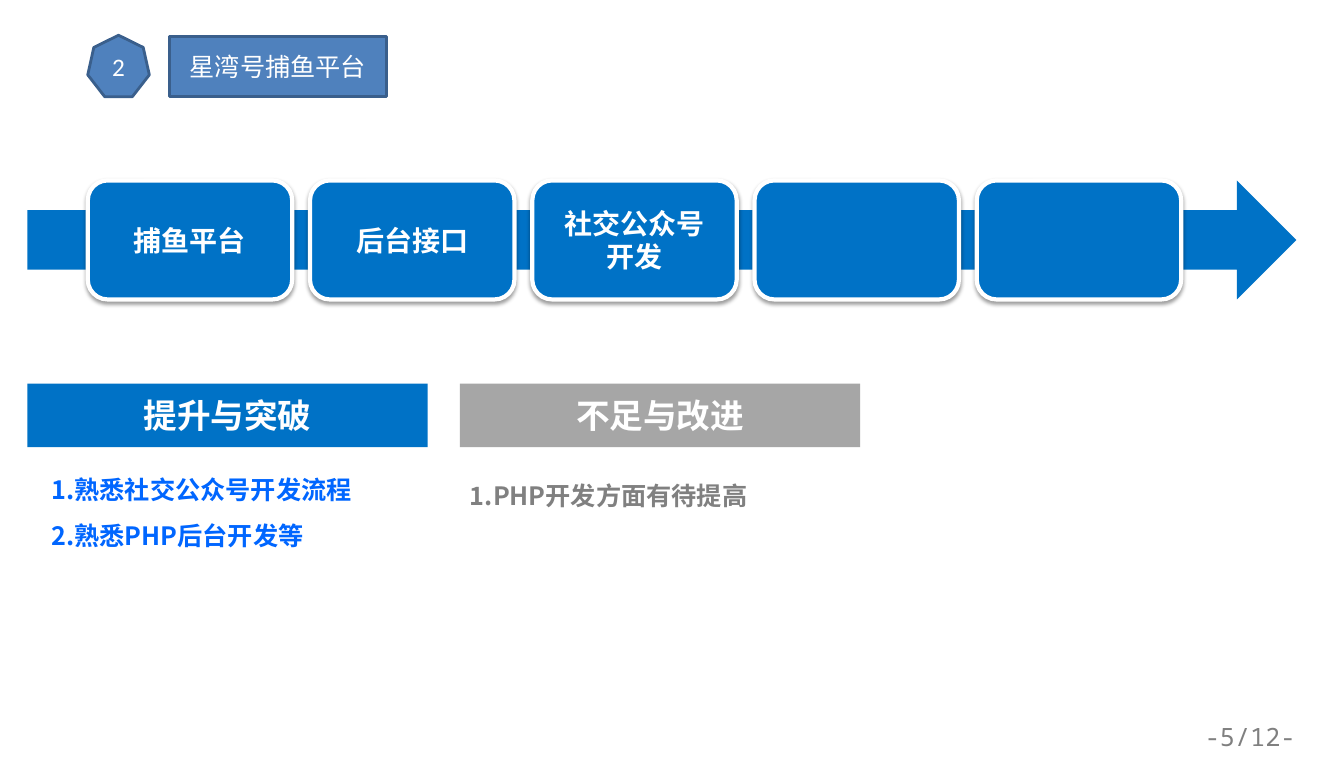
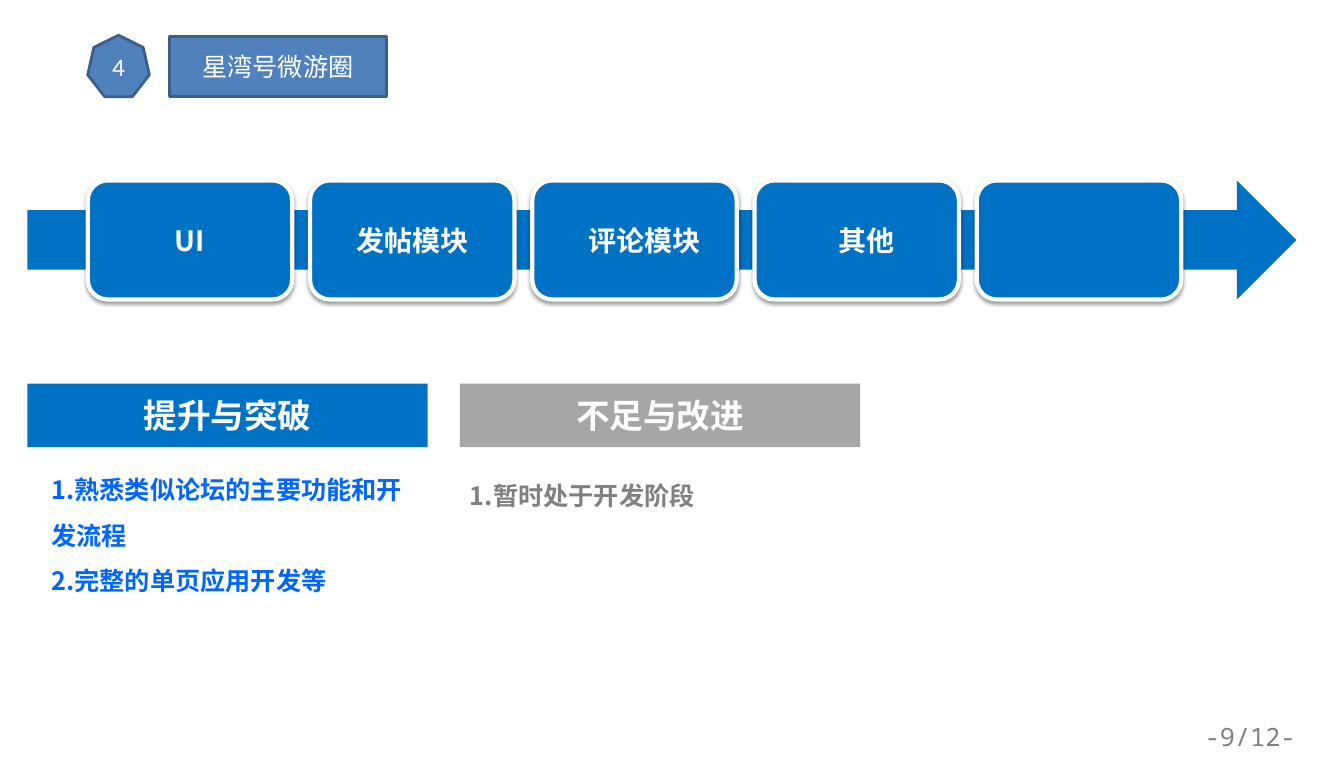
"""Build two project review slides with a step arrow and two findings columns."""
from dataclasses import dataclass

from lxml import etree
from pptx import Presentation
from pptx import util as u
from pptx.dml.color import RGBColor
from pptx.enum import shapes, text
from pptx.oxml import ns

SHAPE = shapes.MSO_SHAPE
CENTER = text.PP_ALIGN.CENTER
LEFT = text.PP_ALIGN.LEFT
MIDDLE = text.MSO_ANCHOR.MIDDLE
TOP = text.MSO_ANCHOR.TOP


@dataclass(frozen=True)
class Theme:
    """Colours, fonts and type sizes of the deck."""
    blue: str = "0072C6"
    grey: str = "A6A6A6"
    badge: str = "4F81BD"
    badge_edge: str = "3A5F8C"
    white: str = "FFFFFF"
    gain: str = "0066FF"
    muted: str = "808080"
    latin: str = "Calibri"
    cjk: str = "Noto Sans CJK SC"
    mono: str = "Noto Sans Mono"
    small: int = 18
    step: int = 20
    heading: int = 24


@dataclass(frozen=True)
class Review:
    """Content of one slide; each step is a label with a sideways nudge."""
    number: int
    title: str
    steps: tuple
    gains: tuple
    gaps: tuple
    page: int


THEME = Theme()
PAGE_COUNT = 12
STEP_LEFT, STEP_WIDTH, STEP_PITCH = 62.7, 146, 158.75
BAND_TOP, BAND_HEIGHT = 128.9, 85
COLUMN_LEFT, COLUMN_PITCH, COLUMN_WIDTH = 19.5, 309, 286

REVIEWS = (
    Review(2, "星湾号捕鱼平台",
           (("捕鱼平台", 0), ("后台接口", 0), ("社交公众号开发", 0), ("", 0), ("", 0)),
           ("1.熟悉社交公众号开发流程", "2.熟悉PHP后台开发等"),
           ("1.PHP开发方面有待提高",), 5),
    Review(4, "星湾号微游圈",
           (("UI", 0), ("发帖模块", 0), ("评论模块", 7), ("其他", 7), ("", 0)),
           ("1.熟悉类似论坛的主要功能和开发流程", "2.完整的单页应用开发等"),
           ("1.暂时处于开发阶段",), 9),
)


def place(shape, left, top, width, height):
    """Move and size a shape in points."""
    shape.left, shape.top = u.Pt(left), u.Pt(top)
    shape.width, shape.height = u.Pt(width), u.Pt(height)


def paint(shape, fill, edge=None, weight=0):
    """Fill a shape and set or remove its outline."""
    shape.fill.solid()
    shape.fill.fore_color.rgb = RGBColor.from_string(fill)
    if edge:
        shape.line.color.rgb = RGBColor.from_string(edge)
        shape.line.width = u.Pt(weight)
    else:
        shape.line.fill.background()


def write(shape, lines, size, color, font=THEME.cjk, bold=False,
          align=CENTER, anchor=MIDDLE, spacing=1.0):
    """Put formatted, unbulleted paragraphs into a shape."""
    frame = shape.text_frame
    frame.text = "\n".join(lines)
    frame.word_wrap = True
    frame.auto_size = text.MSO_AUTO_SIZE.NONE
    frame.vertical_anchor = anchor
    for para in frame.paragraphs:
        para.alignment = align
        para.line_spacing = spacing
        para.space_before = u.Pt(0)
        props = para._p.get_or_add_pPr()
        props.set("marL", "0")
        props.set("indent", "0")
        etree.SubElement(props, ns.qn("a:buNone"))
        for span in para.runs:
            span.font.size = u.Pt(size)
            span.font.bold = bold
            span.font.name = font
            span.font.color.rgb = RGBColor.from_string(color)
            east = etree.SubElement(span._r.get_or_add_rPr(), ns.qn("a:ea"))
            east.set("typeface", THEME.cjk)


def add_shape(page, kind, box, fill, edge=None, weight=0):
    """Add a painted preset shape without shadow."""
    shape = page.shapes.add_shape(kind, *(u.Pt(length) for length in box))
    shape.shadow.inherit = False
    paint(shape, fill, edge, weight)
    return shape


def add_soft_shadow(shape):
    """Give a shape a soft shadow straight below it."""
    effects = shape._element.spPr.find(ns.qn("a:effectLst"))
    shadow = etree.SubElement(effects, ns.qn("a:outerShdw"), blurRad=str(u.Pt(3.1)),
                              dist=str(u.Pt(1.6)), dir="5400000", rotWithShape="0")
    tint = etree.SubElement(shadow, ns.qn("a:srgbClr"), val="000000")
    etree.SubElement(tint, ns.qn("a:alpha"), val="38000")


def add_header(page, review):
    """Add the numbered badge and the title plate."""
    badge = add_shape(page, SHAPE.HEPTAGON, (62.7, 25.2, 44, 44),
                      THEME.badge, THEME.badge_edge, 2)
    write(badge, [str(review.number)], THEME.small, THEME.white, THEME.latin)
    title = page.shapes.title
    place(title, 121, 26, 155, 43.2)
    paint(title, THEME.badge, THEME.badge_edge, 2)
    write(title, [review.title], THEME.small, THEME.white, THEME.latin)


def add_steps(page, steps):
    """Add the arrow and the evenly spaced step boxes on it."""
    add_shape(page, SHAPE.RIGHT_ARROW, (19.5, BAND_TOP, 906.5, BAND_HEIGHT), THEME.blue)
    for index, (label, nudge) in enumerate(steps):
        left = STEP_LEFT + index * STEP_PITCH
        box = add_shape(page, SHAPE.ROUNDED_RECTANGLE,
                        (left, BAND_TOP, STEP_WIDTH, BAND_HEIGHT),
                        THEME.blue, THEME.white, 3)
        add_soft_shadow(box)
        if label:
            box.text_frame.margin_left = u.Pt(12 + 2 * nudge)
            box.text_frame.margin_right = u.Pt(12)
            write(box, [label], THEME.step, THEME.white, bold=True)


def fill_column(page, index, heading, fill, items, color, list_box):
    """Fill the heading and list placeholders of one column."""
    head = page.placeholders[2 * index + 1]
    place(head, COLUMN_LEFT + index * COLUMN_PITCH, 274, COLUMN_WIDTH, 45.4)
    paint(head, fill)
    write(head, [heading], THEME.heading, THEME.white, THEME.latin, bold=True)
    body = page.placeholders[2 * index + 2]
    place(body, *list_box)
    write(body, items, THEME.small, color, bold=True,
          align=LEFT, anchor=TOP, spacing=1.5)


def add_page_number(page, number):
    """Add the page counter at the lower right."""
    box = page.shapes.add_textbox(u.Pt(826), u.Pt(512), u.Pt(134), u.Pt(29))
    write(box, [f"-{number}/{PAGE_COUNT}-"], THEME.small, THEME.muted,
          THEME.mono, anchor=TOP)


def add_review(deck, review):
    """Add one review slide."""
    page = deck.slides.add_slide(deck.slide_layouts.get_by_name("Comparison"))
    add_header(page, review)
    add_steps(page, review.steps)
    fill_column(page, 0, "提升与突破", THEME.blue, review.gains, THEME.gain,
                (29.5, 324.5, 265.7, 102))
    fill_column(page, 1, "不足与改进", THEME.grey, review.gaps, THEME.muted,
                (328.5, 328.8, 286, 36))
    add_page_number(page, review.page)


def main():
    """Build and save the deck."""
    deck = Presentation()
    deck.slide_width, deck.slide_height = u.Pt(960), u.Pt(541.44)
    for review in REVIEWS:
        add_review(deck, review)
    deck.save("out.pptx")


if __name__ == "__main__":
    main()
